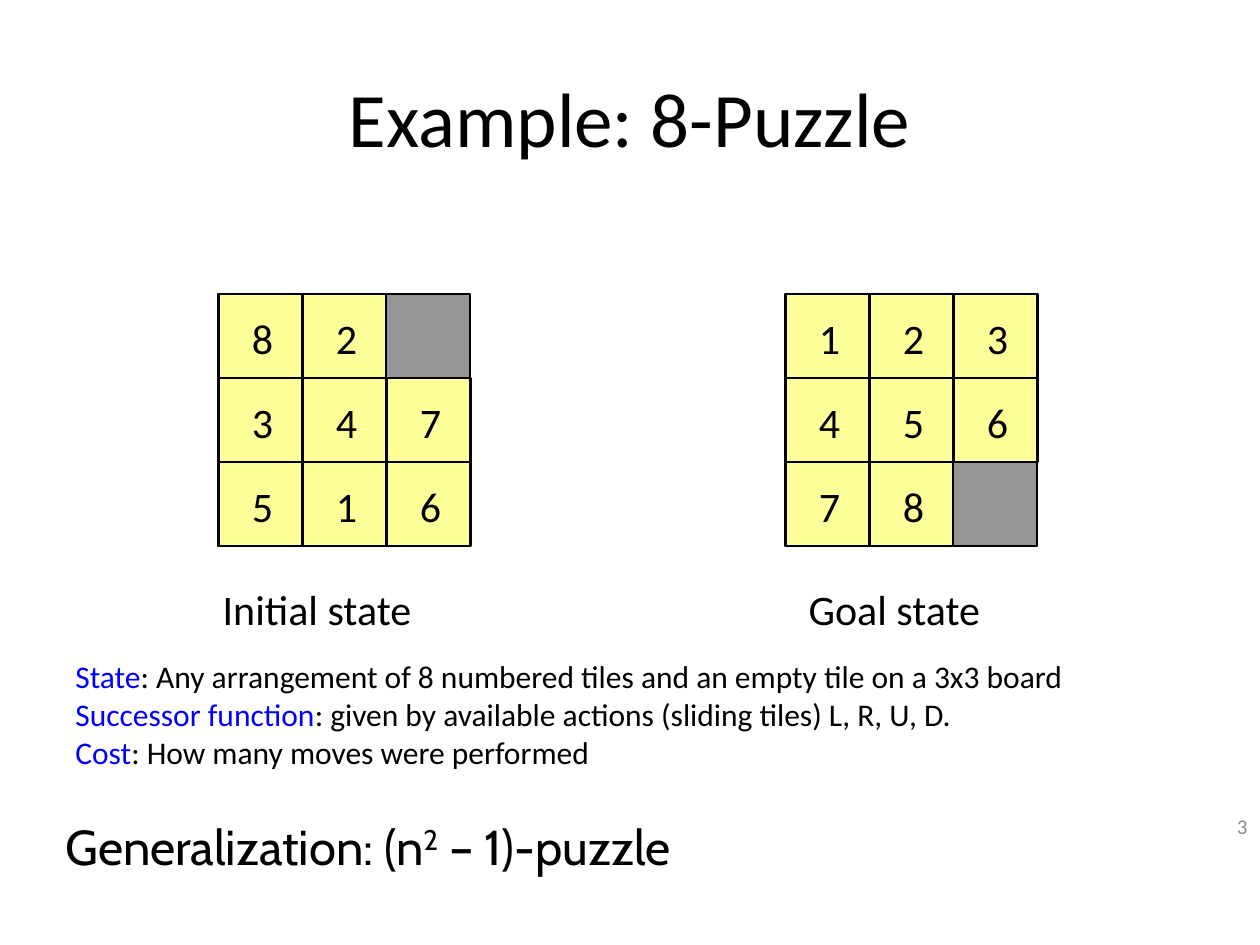
from pptx import Presentation
from pptx.dml.color import RGBColor
from pptx.enum.shapes import MSO_SHAPE
from pptx.enum.text import MSO_ANCHOR, PP_ALIGN
from pptx.util import Cm, Pt

RECT = MSO_SHAPE.RECTANGLE
TOP, MIDDLE = MSO_ANCHOR.TOP, MSO_ANCHOR.MIDDLE
LEFT, CENTER, RIGHT = PP_ALIGN.LEFT, PP_ALIGN.CENTER, PP_ALIGN.RIGHT
BLACK = RGBColor(0x00, 0x00, 0x00)
BLUE = RGBColor(0x00, 0x00, 0xFF)
GRAY = RGBColor(0x8C, 0x8C, 0x8C)
EMPTY = RGBColor(0x96, 0x96, 0x96)
YELLOW = RGBColor(0xFF, 0xFF, 0x99)

BOARD = 5.08
START = ("82 ", "347", "516")
GOAL = ("123", "456", "78 ")
TERMS = (
    ("State", ": Any arrangement of 8 numbered tiles and an empty tile on a 3x3 board"),
    ("Successor function", ": given by available actions (sliding tiles) L, R, U, D."),
    ("Cost", ": How many moves were performed"),
)


def add_text(slide, box, lines, size=24, font="Calibri", color=BLACK,
             align=LEFT, anchor=TOP):
    """Write lines, each a string or a list of (text, color, baseline) runs."""
    frame = slide.shapes.add_textbox(*map(Cm, box)).text_frame
    frame.word_wrap = True
    frame.vertical_anchor = anchor
    for i, line in enumerate(lines):
        para = frame.add_paragraph() if i else frame.paragraphs[0]
        para.alignment = align
        runs = [(line, color, 0)] if isinstance(line, str) else line
        for text, tint, base in runs:
            run = para.add_run()
            run.text = text
            run.font.size = Pt(size)
            run.font.name = font
            run.font.color.rgb = tint
            if base:
                run._r.get_or_add_rPr().set("baseline", str(base * 1000))


def add_square(slide, left, top, side, fill):
    """Draw one outlined square."""
    shape = slide.shapes.add_shape(RECT, Cm(left), Cm(top), Cm(side), Cm(side))
    shape.shadow.inherit = False
    shape.fill.solid()
    shape.fill.fore_color.rgb = fill
    shape.line.color.rgb = BLACK
    shape.line.width = Pt(1.5)


def add_board(slide, left, top, side, rows):
    """Draw a board whose blank cell shows the base square."""
    tile = side / len(rows)
    add_square(slide, left, top, side, EMPTY)
    cells = [(left + col * tile, top + row * tile, digit)
             for row, line in enumerate(rows)
             for col, digit in enumerate(line) if digit != " "]
    for x, y, _ in cells:
        add_square(slide, x, y, tile, YELLOW)
    for x, y, digit in cells:
        add_text(slide, (x + 0.43, y + 0.25, 1.02, 1.27), [digit])


def add_notes(slide, left, top, width):
    """Write the problem terms and the general form below them."""
    lines = [[(term, BLUE, 0), (rest, BLACK, 0)] for term, rest in TERMS]
    add_text(slide, (left, top, width, 2.57), lines, size=18)
    general = [("Generalization: (n", BLACK, 0), ("2", BLACK, 30),
               (" – 1)-puzzle", BLACK, 0)]
    add_text(slide, (left - 0.2, top + 3.2, 13.92, 1.45), [general],
             size=28, font="Cabin")


def main():
    """Build and save the slide."""
    deck = Presentation()
    deck.slide_width, deck.slide_height = Cm(25.4), Cm(19.05)
    slide = deck.slides.add_slide(deck.slide_layouts[6])
    add_text(slide, (1.27, 0.76, 22.86, 3.18), ["Example: 8-Puzzle"],
             size=44, align=CENTER, anchor=MIDDLE)
    add_text(slide, (23.7, 15.93, 1.7, 1.45), ["3"], size=12, color=GRAY,
             align=RIGHT, anchor=MIDDLE)
    add_board(slide, 4.4, 5.93, BOARD, START)
    add_board(slide, 15.83, 5.93, BOARD, GOAL)
    add_text(slide, (4.24, 11.63, 5.31, 1.27), ["Initial state"])
    add_text(slide, (16.05, 11.63, 4.55, 1.27), ["Goal state"])
    add_notes(slide, 1.27, 13.13, 20.7)
    deck.save("out.pptx")


if __name__ == "__main__":
    main()
